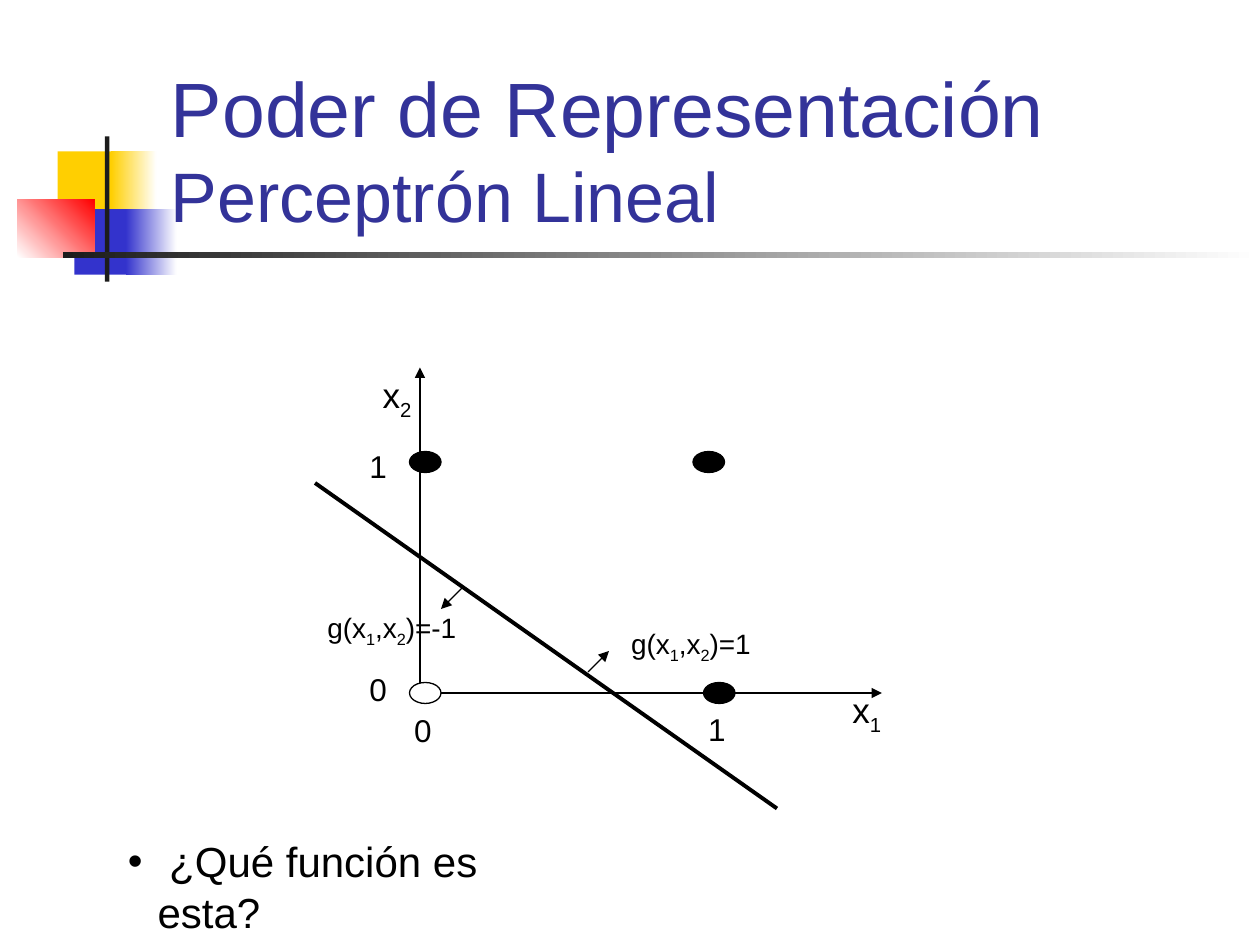
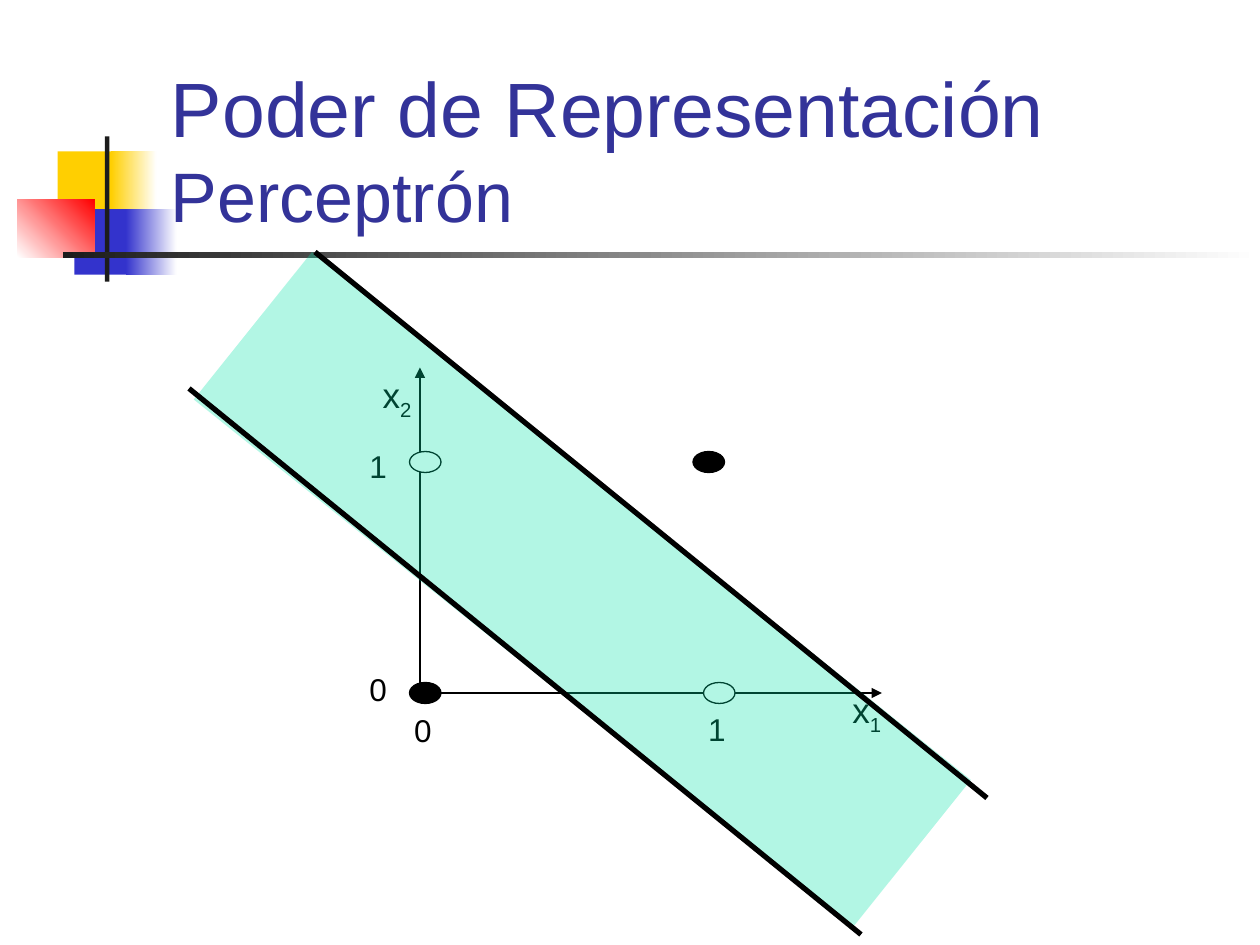
"""Build two slides on the representational power of linear and two-line perceptrons."""
from lxml import etree
from pptx import Presentation
from pptx.dml.color import RGBColor
from pptx.enum.shapes import MSO_CONNECTOR, MSO_SHAPE
from pptx.enum.text import MSO_ANCHOR, MSO_AUTO_SIZE, PP_ALIGN
from pptx.oxml.ns import qn
from pptx.util import Pt

RECT, ELLIPSE = MSO_SHAPE.RECTANGLE, MSO_SHAPE.OVAL
STRAIGHT = MSO_CONNECTOR.STRAIGHT
BOTTOM, LEFT = MSO_ANCHOR.BOTTOM, PP_ALIGN.LEFT
FIT_NONE, FIT_SHAPE = MSO_AUTO_SIZE.NONE, MSO_AUTO_SIZE.SHAPE_TO_FIT_TEXT

FONT = "Arial"
color = RGBColor.from_string
BLACK, WHITE, TITLE_BLUE, BAND_GREEN = "000000", "FFFFFF", "333399", "00E4A8"
YELLOW, BLUE, RED, CHARCOAL = "FFCF01", "3333CC", "FF0000", "1C1C1C"

# (left, top, width, height), gradient colours or a single colour, angle
ORNAMENTS = [
    ((33, 86.5, 35, 37.5), [YELLOW], 0),
    ((63.5, 86.5, 26, 37.5), [YELLOW, WHITE], 0),
    ((42.5, 119.5, 33, 37.5), [BLUE], 0),
    ((72, 119.5, 29, 37.5), [BLUE, WHITE], 0),
    ((10, 114, 44, 33), [WHITE, RED], 45),
    ((60, 78, 2.5, 83), [CHARCOAL], 0),
    ((36, 144, 684, 3.5), [CHARCOAL, WHITE], 0),
]
DOT_CENTERS = [(243, 396), (411, 396), (243, 264), (405, 264)]
DOT_WIDTH, DOT_HEIGHT = 18, 12
AXIS_LABELS = [
    ("x|2|", 211.5, 210, 20), ("x|1|", 480, 390, 20),
    ("1", 204, 252, 18), ("0", 204, 379.5, 18),
    ("0", 229.5, 403, 18), ("1", 397.5, 402, 18),
]
SLIDES = [
    {
        "subtitle": "Perceptrón Lineal",
        "dots": [WHITE, BLACK, BLACK, BLACK],
        "band": None,
        "boundaries": [(180, 276, 444, 462)],
        "boundary_weight": 2.25,
        "arrows": [(264, 336, 252, 348), (336, 384, 348, 372)],
        "regions": [("g(x|1|,x|2|)=1", 353.5, 354.5, 85),
                    ("g(x|1|,x|2|)=-1", 180, 345.5, 90)],
        "question": " ¿Qué función es esta?",
    },
    {
        "subtitle": "Perceptrón",
        "dots": [BLACK, WHITE, WHITE, BLACK],
        "band": (91.5, 283, 482.5, 108),
        "boundaries": [(180, 144, 564, 456), (108, 222, 492, 534)],
        "boundary_weight": 3,
        "arrows": [],
        "regions": [],
        "question": None,
    },
]


def add_line(slide, ends, weight, arrow_end=None):
    """Draw a black line, with an arrowhead at its 'headEnd' or 'tailEnd' if asked."""
    line = slide.shapes.add_connector(STRAIGHT, *map(Pt, ends))
    line.line.color.rgb = color(BLACK)
    line.line.width = Pt(weight)
    properties = line._element.spPr
    if arrow_end:
        etree.SubElement(properties.find(qn("a:ln")), qn("a:" + arrow_end), type="triangle")
    etree.SubElement(properties, qn("a:effectLst"))


def add_label(slide, text, box, size, wrap=True):
    """Write text in which every second part between bars is a subscript."""
    label = slide.shapes.add_textbox(*map(Pt, box))
    frame = label.text_frame
    frame.word_wrap = wrap
    frame.auto_size = FIT_SHAPE
    paragraph = frame.paragraphs[0]
    for index, part in enumerate(text.split("|")):
        if not part:
            continue
        run = paragraph.add_run()
        run.text = part
        run.font.name = FONT
        run.font.size = Pt(size)
        run.font.color.rgb = color(BLACK)
        if index % 2:
            run.font._element.set("baseline", "-25000")
    return paragraph


deck = Presentation()
deck.slide_width, deck.slide_height = Pt(720), Pt(540)

for content in SLIDES:
    slide = deck.slides.add_slide(deck.slide_layouts[5])
    shapes = slide.shapes

    for box, colors, angle in ORNAMENTS:
        ornament = shapes.add_shape(RECT, *map(Pt, box))
        ornament.shadow.inherit = False
        ornament.line.fill.background()
        if len(colors) == 1:
            ornament.fill.solid()
            ornament.fill.fore_color.rgb = color(colors[0])
        else:
            ornament.fill.gradient()
            ornament.fill.gradient_angle = angle
            for stop, stop_color in zip(ornament.fill.gradient_stops, colors):
                stop.color.rgb = color(stop_color)

    title = shapes.title
    title.left, title.top, title.width, title.height = map(Pt, (90.5, 49, 613.5, 90))
    heading = title.text_frame
    heading.auto_size = FIT_NONE
    heading.vertical_anchor = BOTTOM
    heading.text = "Poder de Representación\v" + content["subtitle"]
    heading.paragraphs[0].alignment = LEFT
    for run, size in zip(heading.paragraphs[0].runs, (44, 40)):
        run.font.name = FONT
        run.font.size = Pt(size)
        run.font.color.rgb = color(TITLE_BLUE)
    shapes._spTree.append(title._element)

    add_line(slide, (240, 210, 240, 396), 0.75, "headEnd")
    add_line(slide, (240, 396, 504, 396), 0.75, "tailEnd")

    for (x, y), dot_color in zip(DOT_CENTERS, content["dots"]):
        dot = shapes.add_shape(ELLIPSE, Pt(x - DOT_WIDTH / 2), Pt(y - DOT_HEIGHT / 2),
                               Pt(DOT_WIDTH), Pt(DOT_HEIGHT))
        dot.shadow.inherit = False
        dot.fill.solid()
        dot.fill.fore_color.rgb = color(dot_color)
        dot.line.color.rgb = color(BLACK)
        dot.line.width = Pt(0.75)

    for text, left, top, size in AXIS_LABELS:
        add_label(slide, text, (left, top, 34.5, 30), size)

    if content["band"]:
        band = shapes.add_shape(RECT, *map(Pt, content["band"]))
        band.rotation = 38.7
        band.shadow.inherit = False
        band.line.fill.background()
        band.fill.solid()
        band.fill.fore_color.rgb = color(BAND_GREEN)
        band_color = band._element.spPr.find(qn("a:solidFill"))[0]
        etree.SubElement(band_color, qn("a:alpha"), val="30000")

    for ends in content["boundaries"]:
        add_line(slide, ends, content["boundary_weight"])
    for ends in content["arrows"]:
        add_line(slide, ends, 0.75, "tailEnd")
    for text, left, top, width in content["regions"]:
        add_label(slide, text, (left, top, width, 26.5), 16, wrap=False)

    if content["question"]:
        question = add_label(slide, content["question"], (66, 474, 271, 36), 24)
        bullet = question._p.get_or_add_pPr()
        bullet.set("marL", str(Pt(17)))
        bullet.set("indent", str(-Pt(17)))
        etree.SubElement(bullet, qn("a:buFont"), typeface=FONT)
        etree.SubElement(bullet, qn("a:buChar"), char="•")

deck.save("out.pptx")
